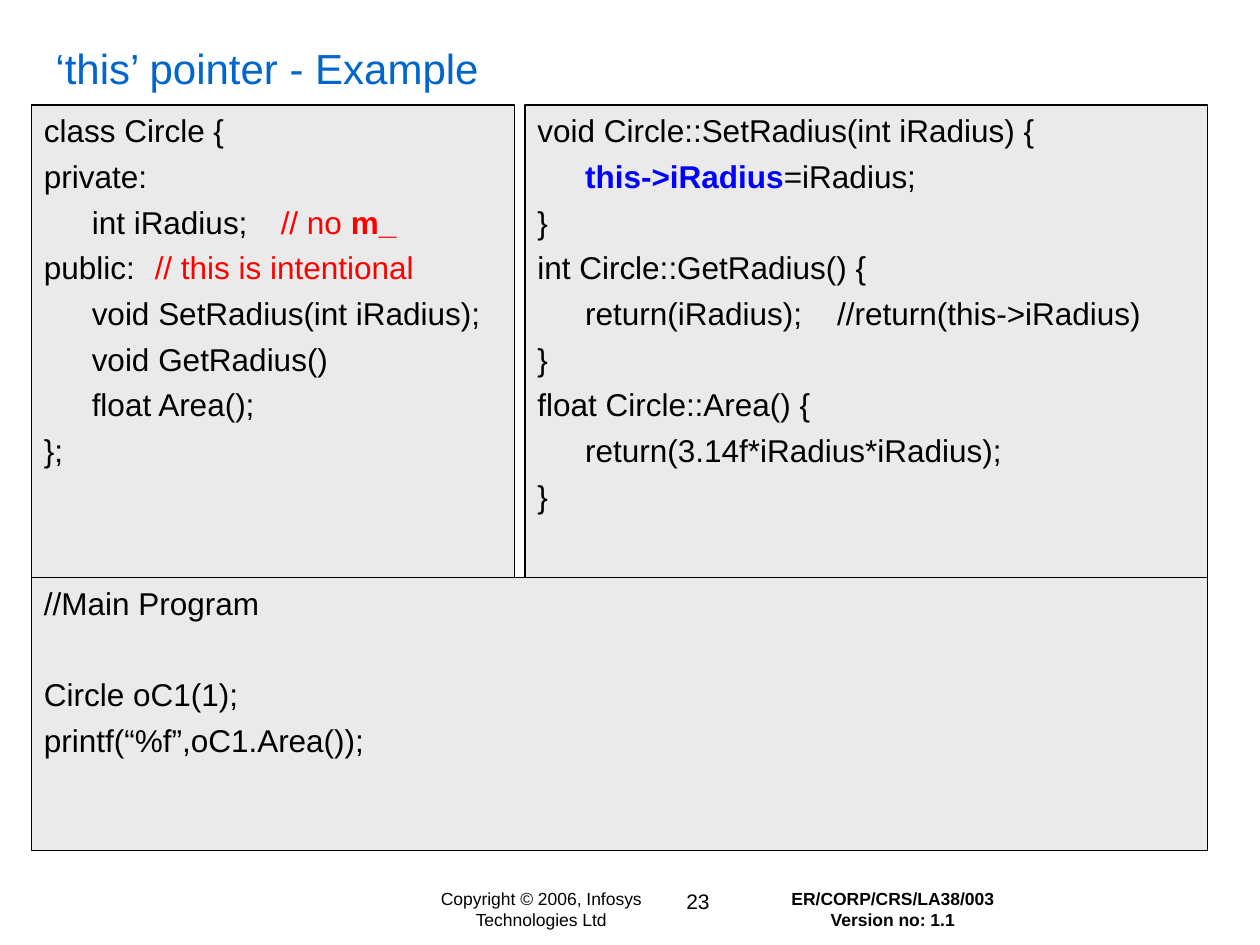
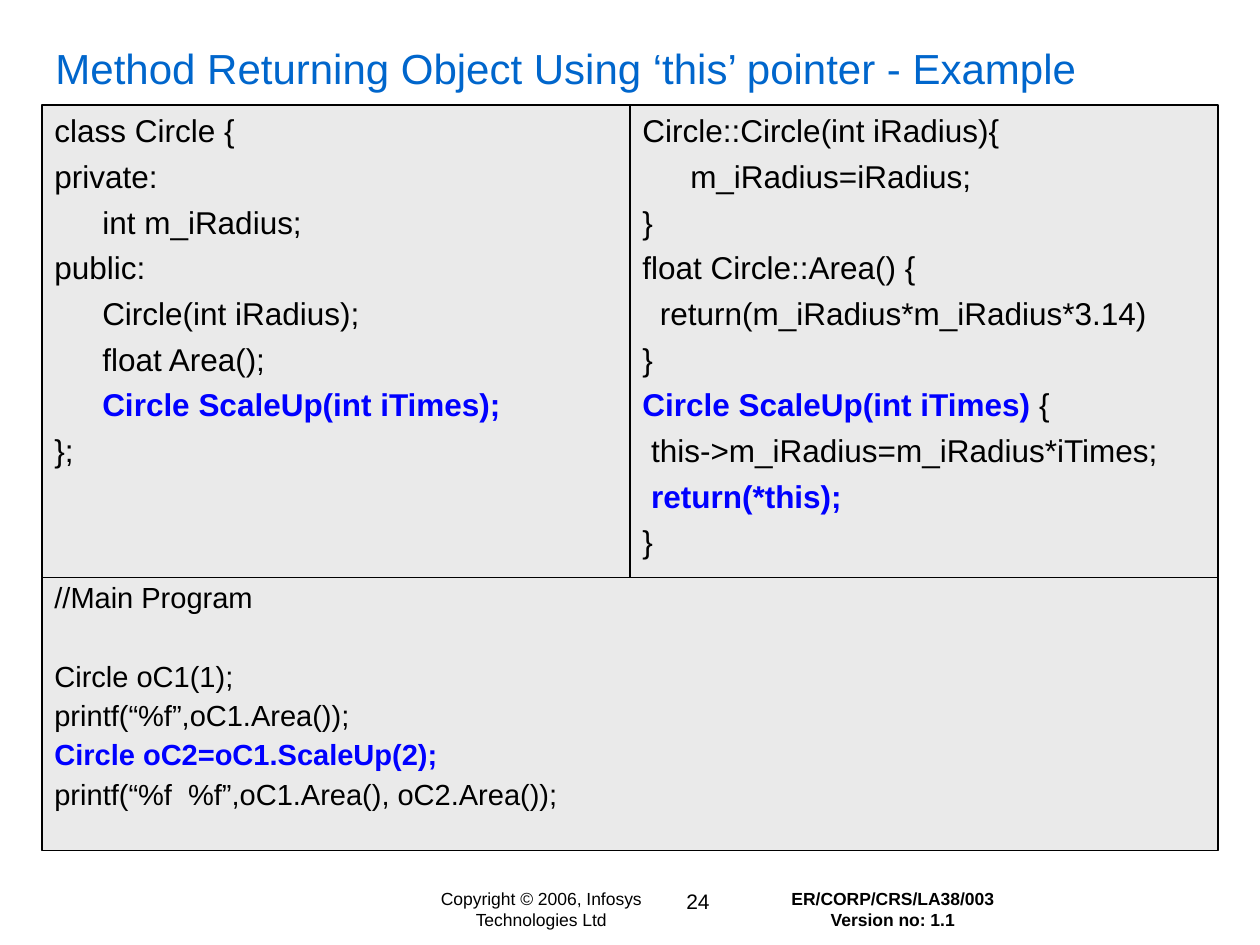
from lxml import etree
from pptx import Presentation
from pptx.dml.color import RGBColor
from pptx.enum.shapes import MSO_SHAPE
from pptx.enum.text import MSO_ANCHOR, PP_ALIGN
from pptx.oxml.ns import qn
from pptx.util import Inches, Pt

COLOURS = {"title": "0066CC", "text": "000000", "panel": "EAEAEA",
           "comment": "FF0000", "key": "0000FF"}
FONT = "Arial"
CELL = Inches(10) // 120  # the slide is a grid of 120 columns by 90 rows
CODE_INDENT = Inches(0.38)
LINE_GAP = 4.5
LINE_HEIGHT = 1.2

PLAIN = {"color": "text", "bold": False}
KEY = {"color": "key", "bold": True}
COMMENT = {"color": "comment", "bold": False}
STRONG_COMMENT = {"color": "comment", "bold": True}

# A code line is a string or a list of (text, style) runs. A leading tab
# indents the line, a later one moves to the comment column, None is a gap.
SLIDES = [
    {
        "title": "‘this’ pointer - Example",
        "number": "23",
        "left": 3,
        "class_columns": 46,
        "gutter": 1,
        "class": {
            "comment_column": 1.53,
            "lines": [
                "class Circle {",
                "private:",
                [("\tint iRadius;\t", PLAIN), ("// no ", COMMENT),
                 ("m_", STRONG_COMMENT)],
                [("public:\t", PLAIN), ("// this is intentional", COMMENT)],
                "\tvoid SetRadius(int iRadius);",
                "\tvoid GetRadius()",
                "\tfloat Area();",
                "};",
            ],
        },
        "methods": {
            "comment_column": 2,
            "lines": [
                "void Circle::SetRadius(int iRadius) {",
                [("\tthis->iRadius", KEY), ("=iRadius;", PLAIN)],
                "}",
                "int Circle::GetRadius() {",
                "\treturn(iRadius);\t//return(this->iRadius)",
                "}",
                "float Circle::Area() {",
                "\treturn(3.14f*iRadius*iRadius);",
                "}",
            ],
        },
        "main": {
            "lines": [
                "//Main Program",
                None,
                "Circle oC1(1);",
                "printf(“%f”,oC1.Area());",
            ],
        },
    },
    {
        "title": "Method Returning Object Using ‘this’ pointer - Example",
        "number": "24",
        "left": 4,
        "class_columns": 56,
        "gutter": 0,
        "class": {
            "lines": [
                "class Circle {",
                "private:",
                "\tint m_iRadius;",
                "public:",
                "\tCircle(int iRadius);",
                "\tfloat Area();",
                [("\tCircle ScaleUp(int iTimes);", KEY)],
                "};",
            ],
        },
        "methods": {
            "lines": [
                "Circle::Circle(int iRadius){",
                "\tm_iRadius=iRadius;",
                "}",
                "float Circle::Area() {",
                "  return(m_iRadius*m_iRadius*3.14)",
                "}",
                [("Circle ScaleUp(int iTimes)", KEY), (" {", PLAIN)],
                " this->m_iRadius=m_iRadius*iTimes;",
                [(" return(*this);", KEY)],
                "}",
            ],
        },
        "main": {
            "size": 16.6,
            "spacing": 0.9,
            "lines": [
                "//Main Program",
                None,
                "Circle oC1(1);",
                "printf(“%f”,oC1.Area());",
                [("Circle oC2=oC1.ScaleUp(2);", KEY)],
                "printf(“%f  %f”,oC1.Area(), oC2.Area());",
            ],
        },
    },
]

FOOTERS = [  # left and width in inches, then the text format
    {"left": 3.17, "width": 2.25, "size": 10, "bold": False, "wrap": True,
     "lines": ["Copyright © 2006, Infosys Technologies Ltd"]},
    {"left": 5.06, "width": 0.96, "size": 12, "bold": False, "wrap": False,
     "lines": ["{number}"]},
    {"left": 5.75, "width": 2.67, "size": 10, "bold": True, "wrap": True,
     "lines": ["ER/CORP/CRS/LA38/003", "Version no: 1.1"]},
]


def rgb(name):
    return RGBColor.from_string(COLOURS[name])


def add_run(paragraph, text, size, color="text", bold=False):
    run = paragraph.add_run()
    run.text = text
    for name, value in {"name": FONT, "size": Pt(size), "bold": bold}.items():
        setattr(run.font, name, value)
    run.font.color.rgb = rgb(color)


def next_paragraph(frame, index):
    return frame.add_paragraph() if index else frame.paragraphs[0]


def set_indents(paragraph, hanging, comment_column):
    properties = paragraph._p.get_or_add_pPr()
    properties.set("marL", str(CODE_INDENT))
    properties.set("indent", str(-CODE_INDENT if hanging else 0))
    if comment_column:
        tabs = etree.SubElement(properties, qn("a:tabLst"))
        etree.SubElement(tabs, qn("a:tab"), algn="l",
                         pos=str(Inches(comment_column)))


def add_code_panel(slide, box, lines, size=18, spacing=1, comment_column=None):
    """Draw a bordered code listing in a box given in grid cells."""
    panel = slide.shapes.add_shape(MSO_SHAPE.RECTANGLE,
                                   *(CELL * cells for cells in box))
    panel.shadow.inherit = False
    panel.fill.solid()
    panel.fill.fore_color.rgb = rgb("panel")
    panel.line.color.rgb = rgb("text")
    panel.line.width = Pt(0.75)
    frame = panel.text_frame
    frame.word_wrap = True
    frame.vertical_anchor = MSO_ANCHOR.TOP

    blank_line = LINE_GAP + LINE_HEIGHT * size * spacing
    gap = 0
    for line in lines:
        if line is None:
            gap += blank_line
            continue
        runs = [(line, PLAIN)] if isinstance(line, str) else line
        first_text, first_style = runs[0]
        paragraph = next_paragraph(frame, lines.index(line))
        set_indents(paragraph, not first_text.startswith("\t"), comment_column)
        formats = {"alignment": PP_ALIGN.LEFT, "line_spacing": spacing,
                   "space_before": Pt(gap)}
        for name, value in formats.items():
            setattr(paragraph, name, value)
        for text, style in [(first_text.lstrip("\t"), first_style), *runs[1:]]:
            add_run(paragraph, text, size, **style)
        gap = LINE_GAP


def format_title(slide, text):
    title = slide.shapes.title
    place = {"left": 0.34, "top": 0.26, "width": 9.38, "height": 0.56}
    for name, value in place.items():
        setattr(title, name, Inches(value))
    title.text_frame.vertical_anchor = MSO_ANCHOR.MIDDLE
    paragraph = title.text_frame.paragraphs[0]
    paragraph.alignment = PP_ALIGN.LEFT
    add_run(paragraph, text, 24, "title")


def add_footers(slide, number):
    for footer in FOOTERS:
        box = slide.shapes.add_textbox(Inches(footer["left"]), Inches(7),
                                       Inches(footer["width"]), Inches(0.44))
        frame = box.text_frame
        frame.word_wrap = footer["wrap"]
        for index, line in enumerate(footer["lines"]):
            paragraph = next_paragraph(frame, index)
            paragraph.alignment = PP_ALIGN.CENTER
            add_run(paragraph, line.format(number=number), footer["size"],
                    bold=footer["bold"])


def add_example_slide(presentation, content):
    """Add a slide with class and methods side by side above the main program."""
    slide = presentation.slides.add_slide(presentation.slide_layouts[5])
    format_title(slide, content["title"])
    left, columns = content["left"], 112
    class_columns = content["class_columns"]
    offset = class_columns + content["gutter"]
    boxes = {
        "class": (left, 10, class_columns, 45),
        "methods": (left + offset, 10, columns - offset, 45),
        "main": (left, 55, columns, 26),
    }
    for name, box in boxes.items():
        add_code_panel(slide, box, **content[name])
    add_footers(slide, content["number"])


def main():
    presentation = Presentation()
    presentation.slide_width = CELL * 120
    presentation.slide_height = CELL * 90
    for content in SLIDES:
        add_example_slide(presentation, content)
    presentation.save("out.pptx")


if __name__ == "__main__":
    main()
